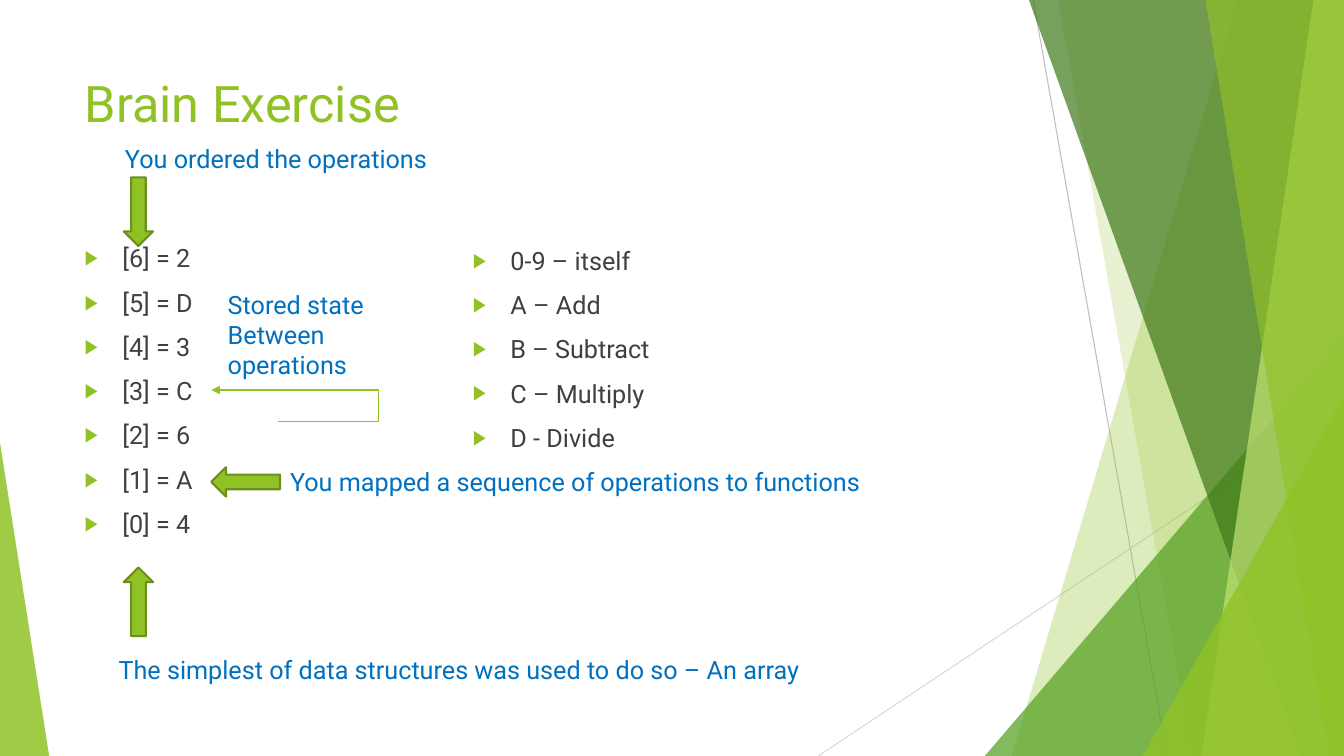
from dataclasses import dataclass

import lxml.etree
import pptx
import pptx.dml.color
import pptx.enum.shapes
import pptx.enum.text
import pptx.oxml
import pptx.oxml.ns
import pptx.util

Cm, Pt, qn = pptx.util.Cm, pptx.util.Pt, pptx.oxml.ns.qn
RGBColor = pptx.dml.color.RGBColor
MSO_SHAPE = pptx.enum.shapes.MSO_SHAPE
MSO_CONNECTOR = pptx.enum.shapes.MSO_CONNECTOR

LIME = RGBColor(0x90, 0xC2, 0x26)
PALE_LIME = RGBColor(0xC0, 0xE4, 0x74)
GREEN = RGBColor(0x54, 0xA0, 0x21)
DARK_GREEN = RGBColor(0x3F, 0x78, 0x19)
OLIVE = RGBColor(0x6B, 0x90, 0x1C)
BLUE = RGBColor(0x00, 0x70, 0xC0)
CHARCOAL = RGBColor(0x40, 0x40, 0x40)
GREY = RGBColor(0xBF, 0xBF, 0xBF)
LIGHT_GREY = RGBColor(0xD9, 0xD9, 0xD9)

WIDTH, HEIGHT = 33.87, 19.05
FONT = "Roboto"
FRAME_FORMAT = {
    "vertical_anchor": pptx.enum.text.MSO_ANCHOR.TOP,
    "auto_size": pptx.enum.text.MSO_AUTO_SIZE.NONE,
}


@dataclass(frozen=True)
class Box:
    left: float
    top: float
    width: float
    height: float

    def lengths(self) -> list[pptx.util.Length]:
        return [Cm(n) for n in (self.left, self.top, self.width, self.height)]


@dataclass(frozen=True)
class Band:
    """Full-height facet from a slanted left edge to the right of the slide."""
    top_x: float
    bottom_x: float
    color: RGBColor
    opacity: int


@dataclass(frozen=True)
class Corner:
    """Triangle in a lower corner, its apex above one end of its base."""
    left: float
    top: float
    width: float
    apex: float
    color: RGBColor
    opacity: int


@dataclass(frozen=True)
class Note:
    box: Box
    text: str
    wrap: bool = False


@dataclass(frozen=True)
class Pointer:
    left: float
    top: float
    rotation: int


FACETS = [
    Band(31.19, 25.5, LIME, 30),
    Band(26.67, 30.05, LIME, 20),
    Corner(24.82, 8.46, 9.05, 1, GREEN, 72),
    Band(25.93, 32.79, DARK_GREEN, 70),
    Band(33.1, 30.28, PALE_LIME, 70),
    Band(30.38, 33.48, LIME, 65),
    Corner(28.8, 9.98, 5.07, 1, LIME, 80),
    Corner(0, 11.15, 1.24, 0, LIME, 85),
]
ARRAY_ITEMS = ["[6] = 2", "[5] = D", "[4] = 3", "[3] = C", "[2] = 6", "[1] = A", "[0] = 4"]
OPERATIONS = ["0-9 – itself", "A – Add", "B – Subtract", "C – Multiply", "D - Divide"]
NOTES = [
    Note(Box(2.9, 3.48, 8.31, 1.02), "You ordered the operations"),
    Note(Box(7.06, 11.63, 15.01, 1.02), "You mapped a sequence of operations to functions"),
    Note(Box(2.74, 16.36, 17.73, 1.02),
         "The simplest of data structures was used to do so – An array"),
    Note(Box(5.49, 7.16, 4.32, 2.57), "Stored state\nBetween\noperations", wrap=True),
]
POINTERS = [Pointer(3.12, 4.47, 0), Pointer(5.82, 11.28, 90), Pointer(3.12, 14.3, 180)]


def apply_format(target, values: dict) -> None:
    for name, value in values.items():
        setattr(target, name, value)


def write_text(shape, text: str, size: float, color: RGBColor) -> None:
    shape.text_frame.text = text
    for paragraph in shape.text_frame.paragraphs:
        paragraph.alignment = pptx.enum.text.PP_ALIGN.LEFT
        for run in paragraph.runs:
            apply_format(run.font, {"name": FONT, "size": Pt(size)})
            run.font.color.rgb = color


def fill_placeholder(shape, box: Box, text: str, size: float, color: RGBColor) -> None:
    apply_format(shape, dict(zip(("left", "top", "width", "height"), box.lengths())))
    write_text(shape, text, size, color)
    apply_format(shape.text_frame, FRAME_FORMAT)


def fill_list(shape, box: Box, items: list[str]) -> None:
    fill_placeholder(shape, box, "\n".join(items), 18, CHARCOAL)
    for paragraph in shape.text_frame.paragraphs:
        apply_format(paragraph, {"space_before": Pt(10), "line_spacing": 1.0})
        properties = paragraph._p.get_or_add_pPr()
        properties.set("marL", str(Cm(0.95)))
        properties.set("indent", str(Cm(-0.95)))
        bullet_color = lxml.etree.SubElement(properties, qn("a:buClr"))
        lxml.etree.SubElement(bullet_color, qn("a:srgbClr"), val=str(LIME))
        lxml.etree.SubElement(properties, qn("a:buSzPct"), val="80000")
        lxml.etree.SubElement(properties, qn("a:buChar"), char="▶")


def draw_facet(slide, facet: Band | Corner) -> None:
    if isinstance(facet, Band):
        outline = slide.shapes.build_freeform(Cm(facet.top_x), 0)
        outline.add_line_segments([(Cm(WIDTH), 0), (Cm(WIDTH), Cm(HEIGHT)),
                                   (Cm(facet.bottom_x), Cm(HEIGHT))])
        shape = outline.convert_to_shape()
    else:
        box = Box(facet.left, facet.top, facet.width, HEIGHT - facet.top)
        shape = slide.shapes.add_shape(MSO_SHAPE.ISOSCELES_TRIANGLE, *box.lengths())
        shape.adjustments[0] = facet.apex
    shape.shadow.inherit = False
    shape.line.fill.background()
    shape.fill.solid()
    shape.fill.fore_color.rgb = facet.color
    color = shape.element.spPr.find(qn("a:solidFill")).find(qn("a:srgbClr"))
    lxml.etree.SubElement(color, qn("a:alpha"), val=str(facet.opacity * 1000))


def draw_line(slide, kind, ends: tuple, color: RGBColor, weight: float):
    line = slide.shapes.add_connector(kind, *(Cm(n) for n in ends))
    line.line.color.rgb = color
    line.line.width = Pt(weight)
    lxml.etree.SubElement(line.element.spPr, qn("a:effectLst"))
    return line


def draw_state_arrow(slide) -> None:
    arrow = draw_line(slide, MSO_CONNECTOR.ELBOW, (7.01, 10.62, 5.33, 9.83), LIME, 1)
    properties = arrow.element.spPr
    lxml.etree.SubElement(properties.find(qn("a:ln")), qn("a:tailEnd"), type="triangle")
    geometry = properties.find(qn("a:prstGeom"))
    guides = geometry.find(qn("a:avLst"))
    if guides is None:
        guides = lxml.etree.SubElement(geometry, qn("a:avLst"))
    lxml.etree.SubElement(guides, qn("a:gd"), name="adj1", fmla="val -151000")


def draw_pointer(slide, pointer: Pointer) -> None:
    box = Box(pointer.left, pointer.top, 0.74, 1.73)
    arrow = slide.shapes.add_shape(MSO_SHAPE.DOWN_ARROW, *box.lengths())
    arrow.rotation = pointer.rotation
    arrow.shadow.inherit = False
    arrow.fill.solid()
    arrow.fill.fore_color.rgb = LIME
    arrow.line.color.rgb = OLIVE
    arrow.line.width = Pt(1.5)


def draw_note(slide, note: Note) -> None:
    caption = slide.shapes.add_textbox(*note.box.lengths())
    write_text(caption, note.text, 18, BLUE)
    caption.text_frame.word_wrap = note.wrap


def main() -> None:
    deck = pptx.Presentation()
    apply_format(deck, {"slide_width": Cm(WIDTH), "slide_height": Cm(HEIGHT)})
    slide = deck.slides.add_slide(deck.slide_layouts.get_by_name("Two Content"))
    title, array, operations = slide.placeholders

    draw_line(slide, MSO_CONNECTOR.STRAIGHT, (26.04, 0, 29.41, HEIGHT), GREY, 0.75)
    draw_line(slide, MSO_CONNECTOR.STRAIGHT, (WIDTH, 10.24, 20.62, HEIGHT), LIGHT_GREY, 0.75)
    for facet in FACETS:
        draw_facet(slide, facet)
    for content in (title, array, operations):  # text goes in front of the facets
        content.element.getparent().append(content.element)

    fill_placeholder(title, Box(1.88, 1.7, 23.88, 3.66), "Brain Exercise", 36, LIME)
    fill_list(array, Box(1.88, 5.99, 6.22, 10.77), ARRAY_ITEMS)
    fill_list(operations, Box(11.66, 6.05, 6.96, 10.77), OPERATIONS)
    for pointer in POINTERS:
        draw_pointer(slide, pointer)
    draw_state_arrow(slide)
    for note in NOTES:
        draw_note(slide, note)
    deck.save("out.pptx")


if __name__ == "__main__":
    main()
